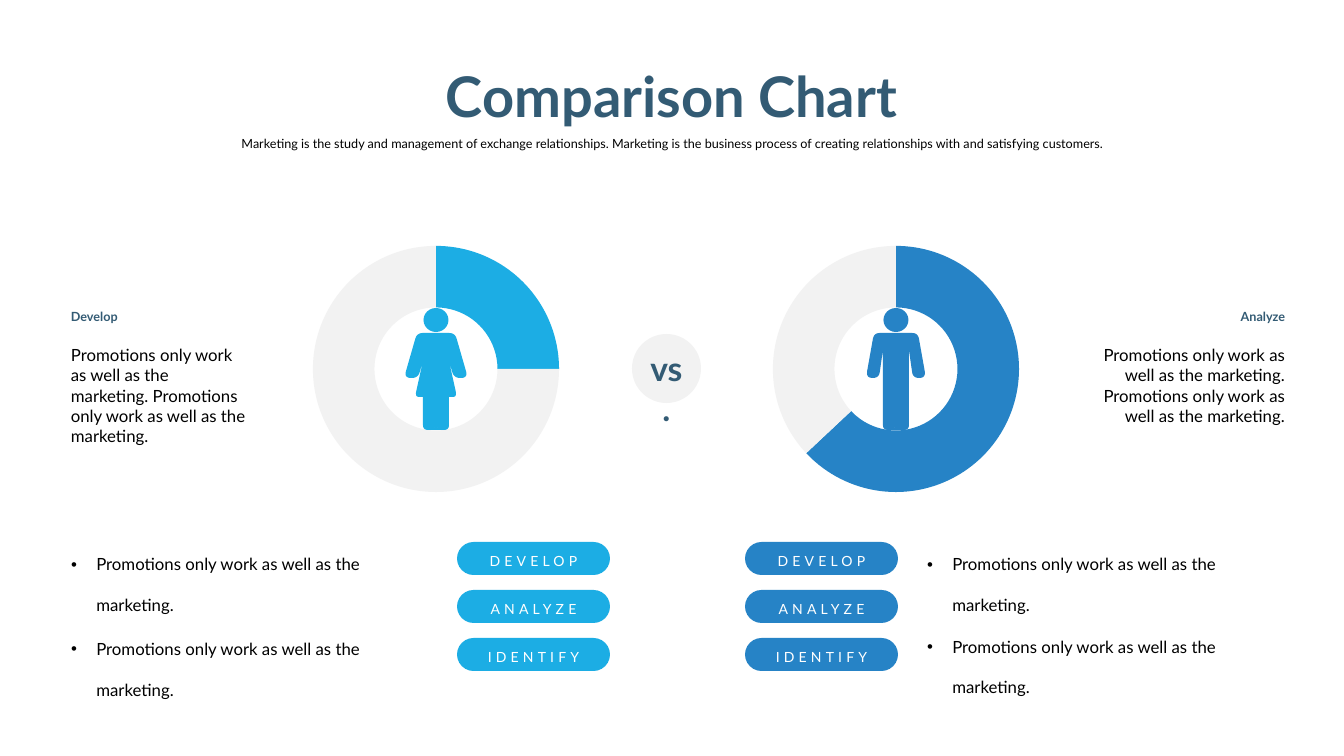
from pptx import Presentation
from pptx import util as u
from pptx.chart.data import CategoryChartData
from pptx.dml.color import RGBColor
from pptx.enum import chart as ch, shapes, text
from pptx.oxml import parse_xml
from pptx.oxml.ns import nsdecls, qn

PX = 12192000 / 1344
NAVY = RGBColor(0x33, 0x5B, 0x74)
CYAN = RGBColor(0x1C, 0xAD, 0xE4)
BLUE = RGBColor(0x26, 0x83, 0xC6)
PALE = RGBColor(0xF2, 0xF2, 0xF2)
BLACK = RGBColor(0, 0, 0)
WHITE = RGBColor(255, 255, 255)
LEFT, MID, RIGHT = text.PP_ALIGN.LEFT, text.PP_ALIGN.CENTER, text.PP_ALIGN.RIGHT

LINE = "Promotions only work as well as the marketing."
INTRO = ("Marketing is the study and management of exchange relationships. "
         "Marketing is the business process of creating relationships "
         "with and satisfying customers.")
STEPS = ("DEVELOP", "ANALYZE", "IDENTIFY")

# Right half of each body: (distance from axis, y, corner radius)
WOMAN = [(19, 333, 6), (32, 378, 7), (18, 378, 6), (13, 361, 0),
         (21, 397, 6), (13, 397, 0), (13, 430, 5), (1, 430, 4), (1, 397, 0)]
MAN = [(22, 333, 6), (30, 378, 7), (17, 378, 6), (13, 350, 0),
       (13, 430, 5), (1, 430, 4), (1, 386, 0)]


def emu(*nums):
    return [u.Emu(round(n * PX)) for n in nums]


def paint(shape, color):
    shape.shadow.inherit = False
    shape.fill.solid()
    shape.fill.fore_color.rgb = color
    shape.line.fill.background()


def write(par, words, size, color, bold=False, align=LEFT):
    par.alignment = align
    run = par.add_run()
    run.text = words
    font = run.font
    font.name, font.size, font.bold = "Lato", u.Pt(size), bold
    font.color.rgb = color
    return run


def place(shape, box, wrap=True):
    shape.left, shape.top, shape.width, shape.height = emu(*box)
    frame = shape.text_frame
    frame.word_wrap = wrap
    frame.auto_size = text.MSO_AUTO_SIZE.NONE
    frame.vertical_anchor = text.MSO_ANCHOR.TOP
    return frame


def label(slide, box, *args, **opts):
    shape = slide.shapes.add_textbox(*emu(*box))
    write(place(shape, box).paragraphs[0], *args, **opts)


def bullets(holder, box, gap):
    frame = place(holder, box)
    for i in range(2):
        par = frame.add_paragraph() if i else frame.paragraphs[0]
        par.line_spacing = 2.0
        par.space_before, par.space_after = u.Pt(0), u.Pt(gap)
        props = par._p.get_or_add_pPr()
        props.set("marL", str(u.Inches(0.25)))
        props.set("indent", str(-u.Inches(0.25)))
        props.append(parse_xml(f'<a:buChar {nsdecls("a")} char="\u2022"/>'))
        write(par, LINE, 12, BLACK)


def donut(slide, left, share, color):
    data = CategoryChartData()
    data.categories = ["1", "2"]
    data.add_series("Series 1", (share, 100 - share))
    box = emu(left, 232, 292, 274)
    chart = slide.shapes.add_chart(ch.XL_CHART_TYPE.DOUGHNUT, *box, data).chart
    chart.has_title = chart.has_legend = False
    chart.font.name, chart.font.size = "Calibri", u.Pt(10)
    chart.font.color.rgb = BLACK
    plot = chart.plots[0]
    plot.vary_by_categories = True
    plot.has_data_labels = False
    plot._element.find(qn("c:holeSize")).set("val", "75")
    for i, tone in enumerate((color, PALE)):
        style = plot.series[0].points[i].format
        style.fill.solid()
        style.fill.fore_color.rgb = tone
        style.line.fill.background()


def curve(before, corner, after):
    """Points of a rounded corner, as a quadratic curve."""
    x, y, rad = corner
    if not rad:
        return [(x, y)]
    ends = []
    for px, py, _ in (before, after):
        size = ((px - x) ** 2 + (py - y) ** 2) ** 0.5
        cut = min(rad / size, 0.5)
        ends.append((x + (px - x) * cut, y + (py - y) * cut))
    (ax, ay), (bx, by) = ends
    steps = [i / 6 for i in range(7)]
    return [((1 - t) ** 2 * ax + 2 * t * (1 - t) * x + t * t * bx,
             (1 - t) ** 2 * ay + 2 * t * (1 - t) * y + t * t * by) for t in steps]


def outline(slide, axis, half, color):
    ring = half + [(-x, y, rad) for x, y, rad in reversed(half)]
    dots = []
    for i, corner in enumerate(ring):
        dots += curve(ring[i - 1], corner, ring[(i + 1) % len(ring)])
    dots = [emu(axis + x, y) for x, y in dots]
    pen = slide.shapes.build_freeform(*dots[0], scale=1.0)
    pen.add_line_segments(dots[1:], close=True)
    paint(pen.convert_to_shape(), color)


def person(slide, axis, half, color):
    outline(slide, axis, half, color)
    head = slide.shapes.add_shape(shapes.MSO_SHAPE.OVAL, *emu(axis - 12.5, 308, 25, 24))
    paint(head, color)
    # Strip between the legs
    strip = [(1, half[-1][1], 0), (1, 427, 0), (5, 430, 0)]
    outline(slide, axis, strip, color)


def pills(slide, left, color):
    for i, step in enumerate(STEPS):
        pill = slide.shapes.add_shape(shapes.MSO_SHAPE.ROUNDED_RECTANGLE,
                                      *emu(left, 542 + 48 * i, 153, 33))
        pill.adjustments[0] = 0.5
        paint(pill, color)
        frame = pill.text_frame
        frame.margin_top, frame.margin_bottom = emu(5, 0)
        frame.vertical_anchor = text.MSO_ANCHOR.MIDDLE
        run = write(frame.paragraphs[0], step, 10, WHITE, align=MID)
        run._r.get_or_add_rPr().set("spc", "300")


def main():
    deck = Presentation()
    deck.slide_width, deck.slide_height = emu(1344, 756)
    slide = deck.slides.add_slide(deck.slide_layouts[3])
    title, first, second = list(slide.placeholders)[:3]

    # Heading
    frame = place(title, (433, 56, 477, 78), wrap=False)
    write(frame.paragraphs[0], "Comparison Chart", 40, NAVY, bold=True, align=MID)
    label(slide, (147, 131, 1050, 25), INTRO, 9, BLACK, align=MID)

    # Charts with figures
    donut(slide, 750, 63, BLUE)
    person(slide, 896, MAN, BLUE)
    donut(slide, 290, 25, CYAN)
    person(slide, 436, WOMAN, CYAN)

    # Versus badge
    badge = slide.shapes.add_shape(shapes.MSO_SHAPE.OVAL, *emu(632, 334, 69, 69))
    paint(badge, PALE)
    label(slide, (639, 343, 55, 92), "vs.", 24, NAVY, bold=True, align=MID)

    # Side notes
    sides = (("Develop", 61, 61, 195, LEFT), ("Analyze", 1079, 1088, 207, RIGHT))
    for name, head, left, width, align in sides:
        label(slide, (head, 304, 216, 25), name, 9, NAVY, bold=True, align=align)
        label(slide, (left, 340, width, 112), f"{LINE} {LINE}", 12, BLACK, align=align)

    # Steps and lists
    pills(slide, 457, CYAN)
    pills(slide, 745, BLUE)
    bullets(first, (61, 529, 377, 171), 3)
    bullets(second, (917, 529, 377, 168), 1)

    deck.save("out.pptx")


main()
